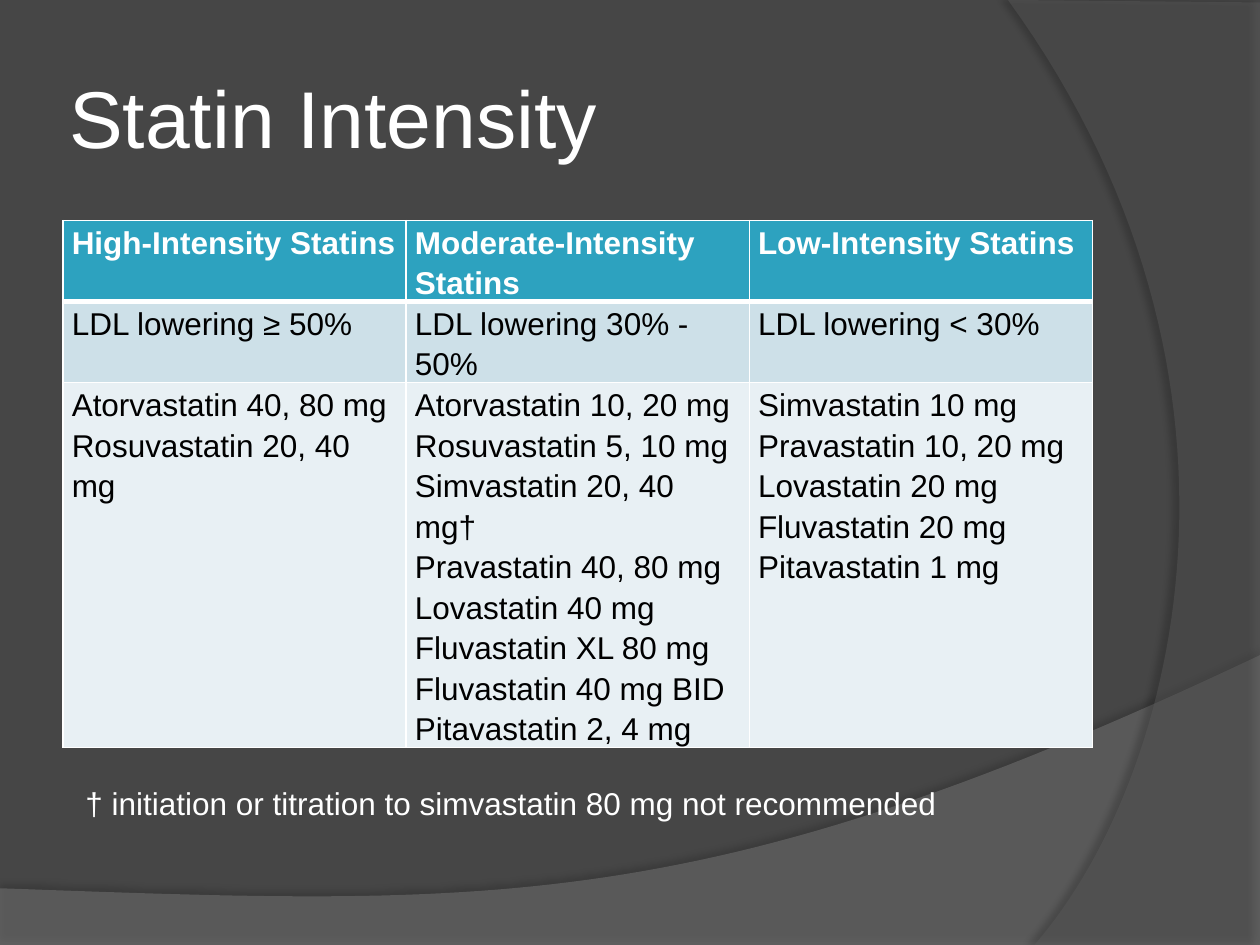
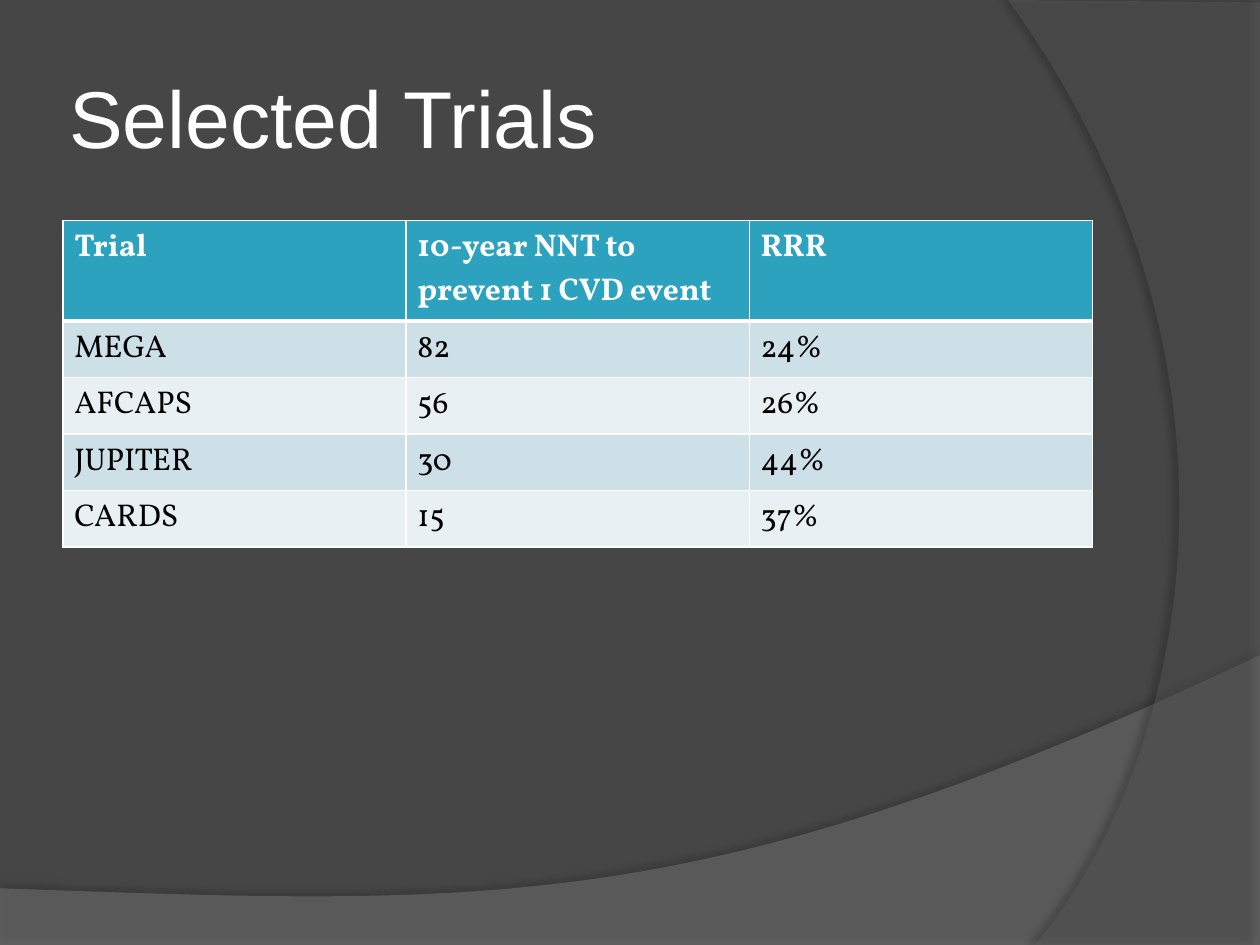
from dataclasses import dataclass

from lxml.etree import SubElement as Sub
from pptx import Presentation
from pptx.dml.color import RGBColor as Rgb
from pptx.enum.text import MSO_ANCHOR as Anchor, MSO_AUTO_SIZE as Fit, PP_ALIGN as Align
from pptx.oxml.ns import qn
from pptx.util import Inches, Pt


@dataclass(frozen=True)
class Theme:
    back: str = "464646"
    wave: str = "7F7F7F"
    arc: str = "5E5E5E"
    white: str = "FFFFFF"
    black: str = "000000"
    head: str = "2DA2BF"
    bands: tuple = ("CDE0E8", "E8F0F4")
    sans: str = "Arial"
    serif: str = "Vollkorn"
    title: int = 46
    body: int = 18


T = Theme()

# Grid of 100 columns by 75 rows; boxes are left, top, width, height in cells
COLS, ROWS = 100, 75
CELL = Inches(0.1)
PAGE = (0, 0, COLS, ROWS)
TITLE = (5, 3, 81.7, 12.5)
TABLE = (5, 17.5, 81.7, 4.1)
NOTE = (5.8, 61.7, 76.7, 4)


def span(box):
    return [round(side * CELL) for side in box]


def write(frame, text, font=T.sans, size=T.body, color=T.white, bold=False,
          pad=(0.1, 0.05), lead=None, anchor=Anchor.TOP):
    """Fill a text frame, one paragraph for each line of text."""
    frame.word_wrap = True
    frame.vertical_anchor = anchor
    frame.margin_left = frame.margin_right = Inches(pad[0])
    frame.margin_top = frame.margin_bottom = Inches(pad[1])
    frame.text = text
    for para in frame.paragraphs:
        para.alignment = Align.LEFT
        if lead:
            para.line_spacing = lead
        for run in para.runs:
            run.font.name, run.font.size, run.font.bold = font, Pt(size), bold
            run.font.color.rgb = Rgb.from_string(color)


# Backdrop

def curve(ends, steps=60):
    """Points on a cubic curve, from its two ends and two handles."""
    pts = []
    for i in range(steps + 1):
        t = i / steps
        mix = ((1 - t) ** 3, 3 * t * (1 - t) ** 2, 3 * t * t * (1 - t), t ** 3)
        pts.append(tuple(sum(m * p[axis] for m, p in zip(mix, ends)) for axis in (0, 1)))
    return pts


def sheet(slide, box, pts, color, alpha, shade, dist, angle):
    """Draw a see-through outline with a soft shadow."""
    pts = [span((box[0] + x, box[1] + y)) for x, y in pts]
    pen = slide.shapes.build_freeform(*pts[0])
    pen.add_line_segments(pts[1:], close=True)
    shape = pen.convert_to_shape()
    shape.fill.solid()
    shape.fill.fore_color.rgb = Rgb.from_string(color)
    shape.line.fill.background()
    shape.shadow.inherit = False
    props = shape.element.spPr
    tint = props.find(qn("a:solidFill"))[0]
    Sub(tint, qn("a:alpha"), val=str(alpha * 1000))
    cast = Sub(props.find(qn("a:effectLst")), qn("a:outerShdw"), blurRad=str(Pt(4)),
               dist=str(Pt(dist)), dir=str(angle * 60000), algn="ctr", rotWithShape="0")
    dark = Sub(cast, qn("a:srgbClr"), val=T.black)
    Sub(dark, qn("a:alpha"), val=str(shade * 1000))
    return shape


def backdrop(slide, box):
    """Draw the wave and the arc, and hand them to the slide's layout."""
    _, _, wide, high = box
    wave = [(0, high), (wide, high)] + curve(
        [(wide, 52), (55.9, 72.9), (39.1, 71.9), (0, 70.5)])
    arc = [(wide, 0.2), (wide, high)] + curve(
        [(82.1, high), (93.5, 61.9), (101.8, 30), (80, 0)])
    parts = (sheet(slide, box, wave, T.wave, 45, 35, 3.5, 270),
             sheet(slide, box, arc, T.arc, 40, 45, 4, 180))
    tree = slide.slide_layout.shapes.element
    for i, part in enumerate(parts):
        part.element.nvSpPr.cNvPr.set("id", str(50 + i))
        tree.insert(2 + i, part.element)


# Table

def edge(cell, sides):
    """Put white borders, widths in points, ahead of the cell's fill."""
    props = cell._tc.get_or_add_tcPr()
    for i, (side, width) in enumerate(sides.items()):
        line = Sub(props, qn(f"a:ln{side}"), w=str(Pt(width)))
        Sub(Sub(line, qn("a:solidFill")), qn("a:srgbClr"), val=T.white)
        props.insert(i, line)


def grid(slide, box, rows, **style):
    """Place a table with a header row and banded rows; box height is one row."""
    left, top, wide, high = box
    place = span((left, top, wide, high * len(rows)))
    table = slide.shapes.add_table(len(rows), len(rows[0]), *place).table
    for r, row in enumerate(rows):
        head = r == 0
        for c, text in enumerate(row):
            cell = table.cell(r, c)
            cell.fill.solid()
            cell.fill.fore_color.rgb = Rgb.from_string(
                T.head if head else T.bands[(r - 1) % 2])
            edge(cell, {"L": 1, "R": 1, "T": 3 if r == 1 else 1, "B": 3 if head else 1})
            write(cell.text_frame, text, bold=head,
                  color=T.white if head else T.black, **style)
            pad = style["pad"]
            cell.margin_left = cell.margin_right = Inches(pad[0])
            cell.margin_top = cell.margin_bottom = Inches(pad[1])


# Slides

def start(deck, layout, title, box):
    slide = deck.slides.add_slide(layout)
    head = slide.shapes.title
    head.left, head.top, head.width, head.height = span(box)
    write(head.text_frame, title, size=T.title, pad=(0.05, 0.05), anchor=Anchor.MIDDLE)
    head.text_frame.auto_size = Fit.NONE
    return slide


def note(slide, box, text):
    frame = slide.shapes.add_textbox(*span(box)).text_frame
    write(frame, text)
    frame.auto_size = Fit.SHAPE_TO_FIT_TEXT


DOSES = [
    ("High-Intensity Statins", "Moderate-Intensity Statins", "Low-Intensity Statins"),
    ("LDL lowering ≥ 50%", "LDL lowering 30% - 50%", "LDL lowering < 30%"),
    ("Atorvastatin 40, 80 mg\nRosuvastatin 20, 40 mg",
     "Atorvastatin 10, 20 mg\nRosuvastatin 5, 10 mg\nSimvastatin 20, 40 mg†\n"
     "Pravastatin 40, 80 mg\nLovastatin 40 mg\nFluvastatin XL 80 mg\n"
     "Fluvastatin 40 mg BID\nPitavastatin 2, 4 mg",
     "Simvastatin 10 mg\nPravastatin 10, 20 mg\nLovastatin 20 mg\n"
     "Fluvastatin 20 mg\nPitavastatin 1 mg"),
]
TRIALS = [
    ("Trial", "10-year NNT to prevent 1 CVD event", "RRR"),
    ("MEGA", "82", "24%"),
    ("AFCAPS", "56", "26%"),
    ("JUPITER", "30", "44%"),
    ("CARDS", "15", "37%"),
]


def main():
    deck = Presentation()
    deck.slide_width, deck.slide_height = span((COLS, ROWS))
    fill = deck.slide_master.background.fill
    fill.solid()
    fill.fore_color.rgb = Rgb.from_string(T.back)
    layout = deck.slide_layouts.get_by_name("Title Only")

    slide = start(deck, layout, "Statin Intensity", TITLE)
    backdrop(slide, PAGE)
    grid(slide, TABLE, DOSES, pad=(0.07, 0), lead=1.15)
    note(slide, NOTE, "† initiation or titration to simvastatin 80 mg not recommended")

    slide = start(deck, layout, "Selected Trials", TITLE)
    grid(slide, TABLE, TRIALS, font=T.serif, pad=(0.09, 0.05))
    deck.save("out.pptx")


if __name__ == "__main__":
    main()
